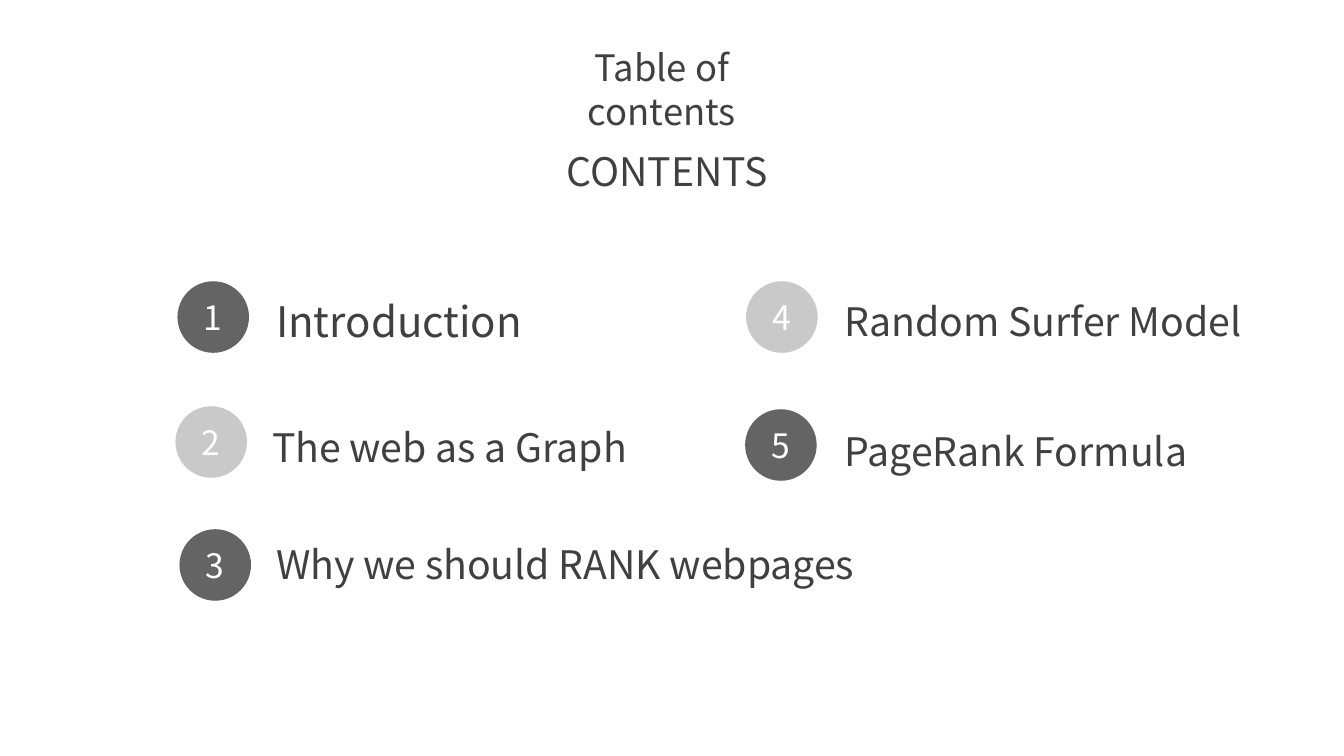
from pptx import Presentation
from pptx.dml.color import RGBColor
from pptx.enum.shapes import MSO_SHAPE
from pptx.enum.text import MSO_ANCHOR, PP_ALIGN
from pptx.util import Emu, Pt

OVAL = MSO_SHAPE.OVAL
MIDDLE = MSO_ANCHOR.MIDDLE
LEFT, CENTER = PP_ALIGN.LEFT, PP_ALIGN.CENTER
PX = 9144
FONT = "Noto Sans CJK SC"
DARK, LIGHT, INK, WHITE = "646464", "C9C9C9", "404040", "FFFFFF"


def rgb(value):
    return RGBColor.from_string(value)


def write(sp, text, size, color, align, spacing=None):
    tf = sp.text_frame
    tf.word_wrap = True
    p = tf.paragraphs[0]
    p.text = text
    p.alignment = align
    p.line_spacing = spacing
    p.font.name = FONT
    p.font.size = Pt(size)
    p.font.color.rgb = rgb(color)


prs = Presentation()
prs.slide_width = Emu(1333 * PX)
prs.slide_height = Emu(750 * PX)
s = prs.slides.add_slide(prs.slide_layouts[6])

headings = [
    ("Table of contents", 26, (547, 40, 219, 97)),
    ("CONTENTS", 28, (434, 141, 455, 57)),
]
for text, size, box in headings:
    sp = s.shapes.add_textbox(*(Emu(v * PX) for v in box))
    write(sp, text, size, INK, CENTER)

entries = [
    ("Introduction", 30, 1.06, DARK, (176, 279), (264, 285, 347, 63)),
    ("The web as a Graph", 28, 1.06, LIGHT, (174, 403), (260, 412, 380, 62)),
    ("Why we should RANK webpages", 28, 0.96, DARK, (178, 525), (264, 534, 851, 56)),
    ("Random Surfer Model", 28, 1.06, LIGHT, (740, 279), (828, 287, 461, 58)),
    ("PageRank Formula", 28, 1.06, DARK, (739, 406), (828, 416, 406, 52)),
]
DIAMETER = Emu(71 * PX)
for number, (text, size, spacing, fill, (x, y), box) in enumerate(entries, 1):
    sp = s.shapes.add_shape(OVAL, Emu(x * PX), Emu(y * PX), DIAMETER, DIAMETER)
    sp.shadow.inherit = False
    sp.fill.solid()
    sp.fill.fore_color.rgb = rgb(fill)
    sp.line.fill.background()
    sp.text_frame.vertical_anchor = MIDDLE
    write(sp, str(number), 24, WHITE, CENTER)

    sp = s.shapes.add_textbox(*(Emu(v * PX) for v in box))
    write(sp, text, size, INK, LEFT, spacing)

prs.save("out.pptx")
